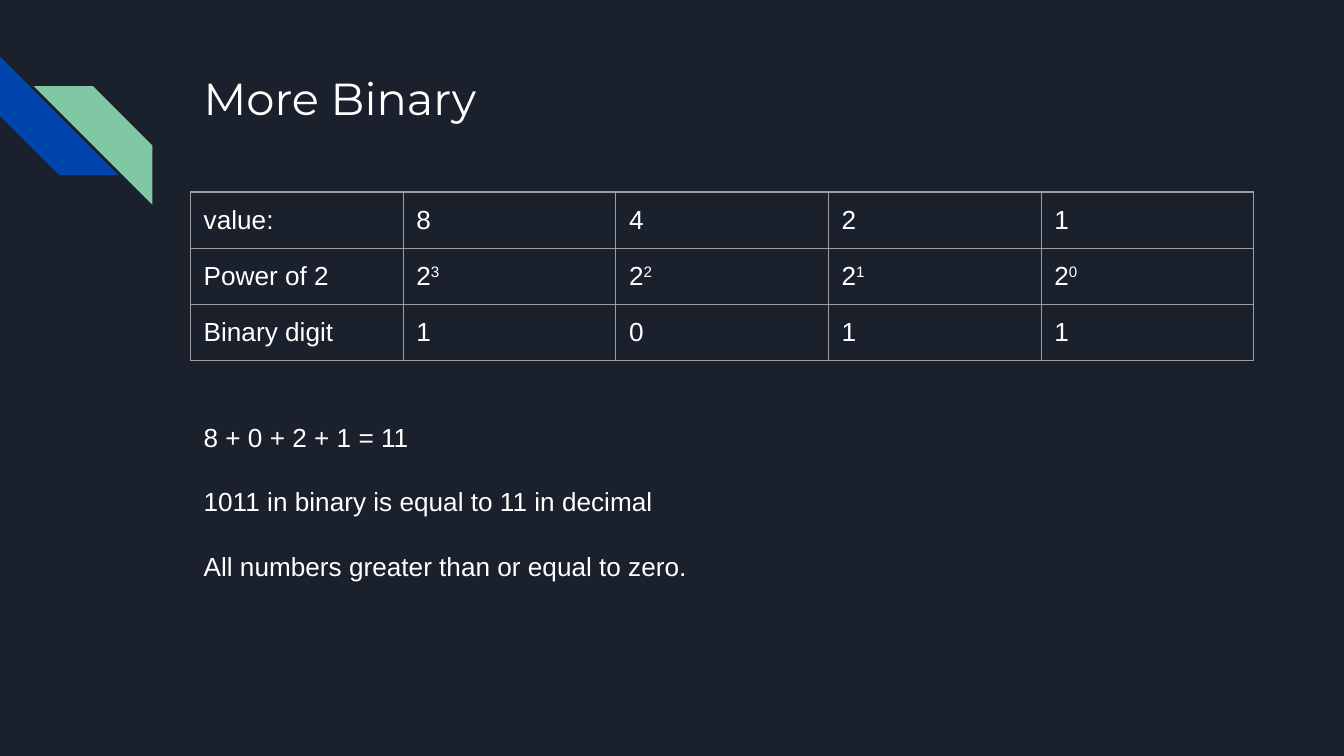
from lxml import etree
from pptx import Presentation
from pptx import util as u
from pptx.dml.color import RGBColor
from pptx.enum import shapes, text
from pptx.oxml import ns

BACKGROUND, WHITE, GREY = "1B212C", "FFFFFF", "9E9E9E"
BLUE, GREEN = "0145AC", "82C7A5"
LEFT = u.Cm(3.6)
INSET = u.Cm(0.25)

# Each cell is its base text and its superscript.
ROWS = [
    [("value:", ""), ("8", ""), ("4", ""), ("2", ""), ("1", "")],
    [("Power of 2", ""), ("2", "3"), ("2", "2"), ("2", "1"), ("2", "0")],
    [("Binary digit", ""), ("1", ""), ("0", ""), ("1", ""), ("1", "")],
]
CONCLUSIONS = [
    "8 + 0 + 2 + 1 = 11",
    "1011 in binary is equal to 11 in decimal",
    "All numbers greater than or equal to zero.",
]


def color(value):
    return RGBColor.from_string(value)


def set_font(paragraph, size, name):
    paragraph.font.size = u.Pt(size)
    paragraph.font.name = name
    paragraph.font.color.rgb = color(WHITE)


def set_insets(holder):
    holder.margin_left = holder.margin_right = INSET
    holder.margin_top = holder.margin_bottom = INSET


def add_stripe(slide, left, top, rotation, fill):
    size = u.Cm(2.24)
    stripe = slide.shapes.add_shape(
        shapes.MSO_SHAPE.DIAGONAL_STRIPE, left, top, size, size)
    stripe.rotation = rotation
    stripe.shadow.inherit = False
    stripe.fill.solid()
    stripe.fill.fore_color.rgb = color(fill)
    stripe.line.fill.background()


def set_title(slide, wording):
    title = slide.shapes.title
    title.left, title.top = LEFT, u.Cm(1.09)
    title.width, title.height = u.Cm(19.56), u.Cm(2.54)
    frame = title.text_frame
    frame.text = wording
    frame.word_wrap = True
    frame.auto_size = text.MSO_AUTO_SIZE.NONE
    frame.vertical_anchor = text.MSO_ANCHOR.TOP
    set_insets(frame)
    paragraph = frame.paragraphs[0]
    paragraph.alignment = text.PP_ALIGN.LEFT
    set_font(paragraph, 24, "Montserrat")


def set_borders(cell):
    """Draw thin grey lines on all four sides, placed before the fill as the schema asks."""
    properties = cell._tc.get_or_add_tcPr()
    for position, side in enumerate(("lnL", "lnR", "lnT", "lnB")):
        line = etree.Element(ns.qn(f"a:{side}"), w=str(u.Pt(0.75)))
        fill = etree.SubElement(line, ns.qn("a:solidFill"))
        etree.SubElement(fill, ns.qn("a:srgbClr"), val=GREY)
        properties.insert(position, line)


def fill_cell(cell, base, superscript):
    cell.fill.background()
    set_insets(cell)
    set_borders(cell)
    paragraph = cell.text_frame.paragraphs[0]
    set_font(paragraph, 14, "Arial")
    paragraph.add_run().text = base
    if superscript:
        run = paragraph.add_run()
        run.text = superscript
        run.font._element.set("baseline", "30000")


def add_binary_table(slide):
    column_width, row_height = u.Cm(4.02), u.Cm(1.06)
    row_count, column_count = len(ROWS), len(ROWS[0])
    table = slide.shapes.add_table(
        row_count, column_count, LEFT, u.Cm(3.63),
        column_width * column_count, row_height * row_count).table
    table.first_row = table.horz_banding = False
    for row_index, row in enumerate(ROWS):
        for column_index, (base, superscript) in enumerate(row):
            fill_cell(table.cell(row_index, column_index), base, superscript)


def add_conclusions(slide):
    box = slide.shapes.add_textbox(LEFT, u.Cm(7.72), u.Cm(20.12), u.Cm(5.66))
    frame = box.text_frame
    frame.word_wrap = True
    set_insets(frame)
    frame.text = "\n".join(CONCLUSIONS)
    for index, paragraph in enumerate(frame.paragraphs):
        set_font(paragraph, 14, "Arial")
        if index:
            paragraph.space_before = u.Pt(17.6)


def main():
    presentation = Presentation()
    presentation.slide_width = u.Cm(25.4)
    presentation.slide_height = u.Cm(14.29)
    title_only = presentation.slide_layouts[5]
    slide = presentation.slides.add_slide(title_only)
    slide.background.fill.solid()
    slide.background.fill.fore_color.rgb = color(BACKGROUND)

    add_stripe(slide, u.Cm(0), u.Cm(1.07), 270, BLUE)
    add_stripe(slide, u.Cm(0.64), u.Cm(1.63), 90, GREEN)
    set_title(slide, "More Binary")
    add_binary_table(slide)
    add_conclusions(slide)
    presentation.save("out.pptx")


if __name__ == "__main__":
    main()
